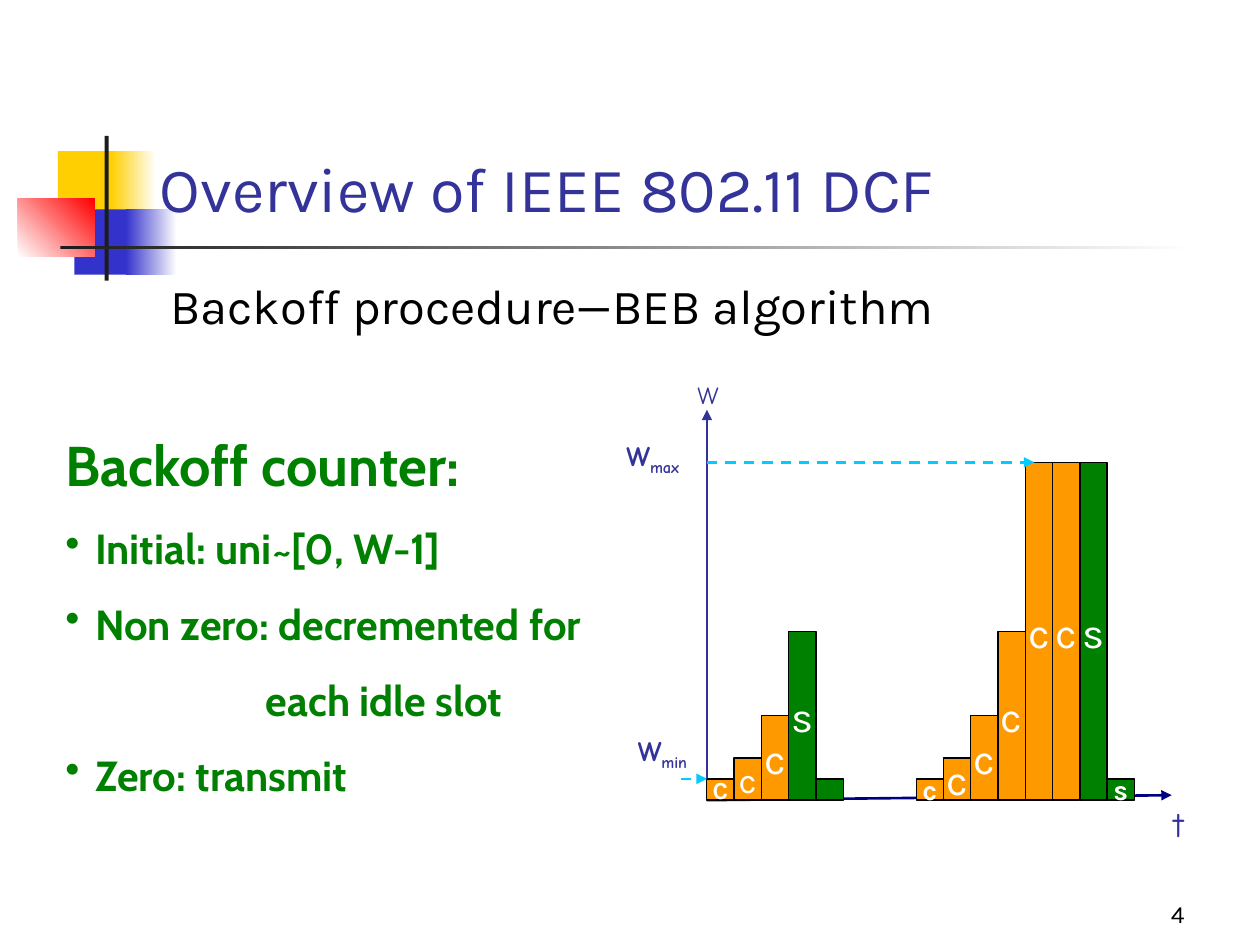
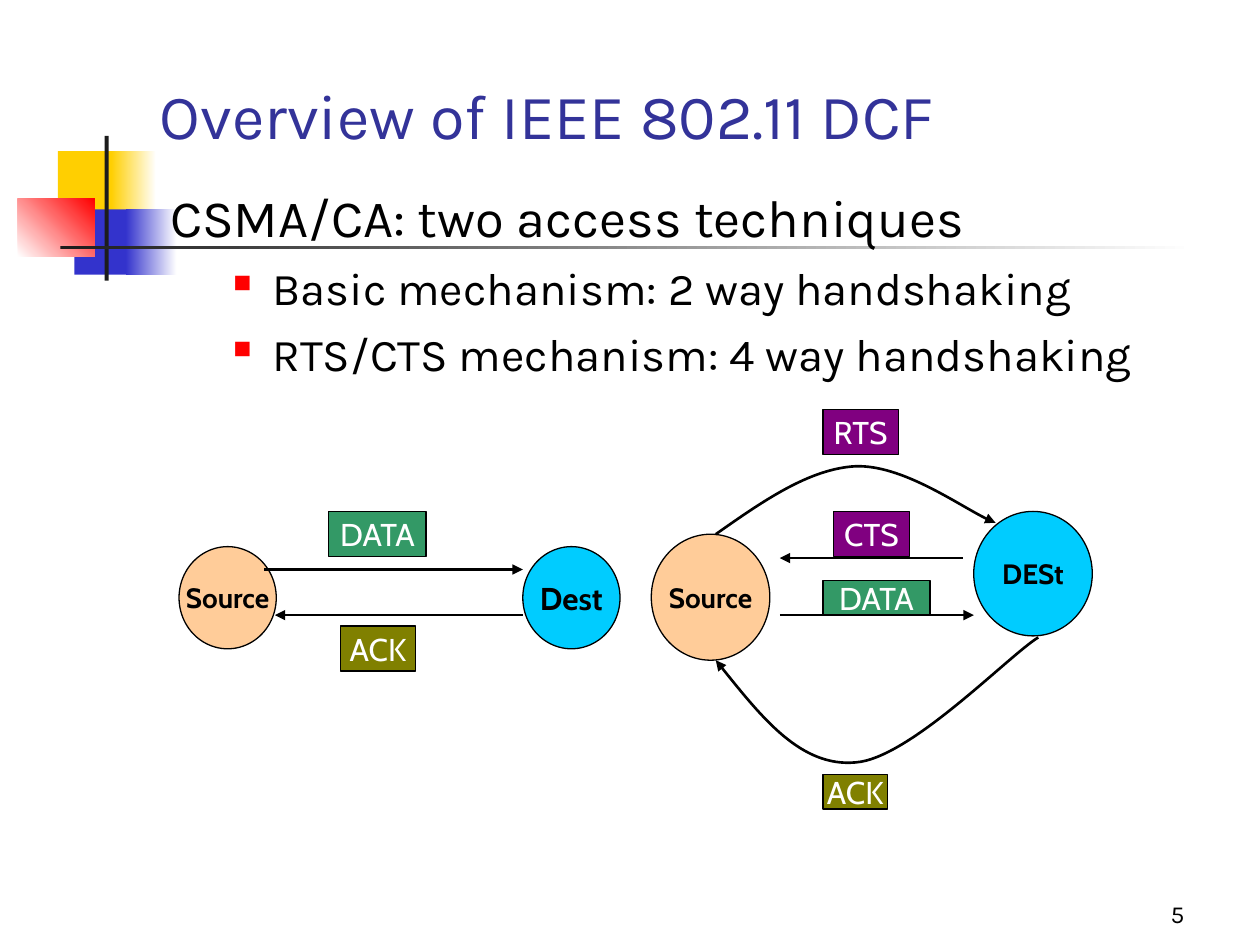
"""Build two slides on IEEE 802.11 DCF backoff and access techniques."""
from dataclasses import dataclass

from lxml import etree
from pptx import Presentation
from pptx.dml.color import RGBColor
from pptx.enum.dml import MSO_LINE
from pptx.enum.shapes import MSO_CONNECTOR, MSO_SHAPE
from pptx.enum.text import MSO_ANCHOR, MSO_AUTO_SIZE, PP_ALIGN
from pptx.oxml.ns import qn
from pptx.util import Cm, Pt

RECT, OVAL = MSO_SHAPE.RECTANGLE, MSO_SHAPE.OVAL
LINE, DASH = MSO_CONNECTOR.STRAIGHT, MSO_LINE.DASH
LEFT, MID, RIGHT = PP_ALIGN.LEFT, PP_ALIGN.CENTER, PP_ALIGN.RIGHT
TOP, CENTER, BOTTOM = MSO_ANCHOR.TOP, MSO_ANCHOR.MIDDLE, MSO_ANCHOR.BOTTOM
FIXED = MSO_AUTO_SIZE.NONE


@dataclass(frozen=True)
class Theme:
    black: str = "000000"
    white: str = "FFFFFF"
    dark: str = "1C1C1C"
    yellow: str = "FFCF01"
    blue: str = "3333CC"
    red: str = "FF0000"
    indigo: str = "333399"
    navy: str = "000080"
    green: str = "008000"
    orange: str = "FF9900"
    cyan: str = "00CCFF"
    peach: str = "FFCC99"
    jade: str = "339966"
    olive: str = "808000"
    purple: str = "800080"
    plain: str = "Karla"
    strong: str = "Cabin"
    hand: str = "Comic Neue"
    title: int = 36
    head: int = 32
    lead: int = 30
    sub: int = 28
    item: int = 26
    body: int = 24
    mark: int = 20
    label: int = 18
    small: int = 16
    tiny: int = 14
    thin: float = 0.75
    thick: float = 1.5


def cm(*sizes):
    return [Cm(size) for size in sizes]


def rgb(color):
    return RGBColor.from_string(color)


def add(parent, tag, **attrs):
    return etree.SubElement(parent, qn(tag), attrs)


def write(frame, text, font=Theme.plain, size=Theme.body, color=Theme.black,
          bold=False, align=LEFT, space=None, before=None, indent=0, hang=0,
          bullet=None, scale=100, tint=None, low=""):
    para = frame.paragraphs[0]
    if para.runs:
        para = frame.add_paragraph()
    props = para._p.get_or_add_pPr()
    if indent:
        props.set("marL", str(Cm(indent)))
        props.set("indent", str(-Cm(hang)))
    if bullet:
        add(add(props, "a:buClr"), "a:srgbClr", val=tint or color)
        add(props, "a:buSzPct", val=str(scale * 1000))
        add(props, "a:buChar", char=bullet)
    para.alignment = align
    if space:
        para.line_spacing = space
    if before:
        para.space_before = Pt(before)
    for part in filter(None, (text, low)):
        run = para.add_run()
        run.text = part
        run.font.name, run.font.size, run.font.bold = font, Pt(size), bold
        run.font.color.rgb = rgb(color)
    if low:
        run._r.get_or_add_rPr().set("baseline", "-25000")


class Deck:
    def __init__(self, theme):
        self.theme = theme
        self.file = Presentation()
        self.file.slide_width, self.file.slide_height = cm(25.4, 19.05)
        self.slide = None

    def start(self, title, top, number):
        look = self.theme
        self.slide = self.file.slides.add_slide(self.file.slide_layouts[5])
        self.band()
        head = self.slide.shapes.title
        self.slide.shapes._spTree.append(head._element)
        head.left, head.top, head.width, head.height = cm(2.97, top, 21.64, 2.13)
        frame = self.setup(head.text_frame, BOTTOM, True)
        write(frame, title, size=look.title, color=look.indigo)
        write(self.text(18.85, 17.58, 5.28, 1.27, BOTTOM), number,
              size=look.tiny, align=RIGHT)

    def band(self):
        look = self.theme
        self.shape(1.17, 3.05, 1.22, 1.32, look.yellow)
        self.fade(2.24, 3.05, 0.91, 1.32, look.yellow, look.white)
        self.shape(1.5, 4.22, 1.17, 1.32, look.blue)
        self.fade(2.54, 4.22, 1.02, 1.32, look.blue, look.white)
        self.fade(0.36, 4.01, 1.55, 1.17, look.white, look.red, 45)
        self.shape(2.11, 2.74, 0.08, 2.92, look.dark)
        self.fade(1.22, 4.95, 22.86, 0.08, look.dark, look.white)

    def setup(self, frame, anchor, wrap):
        frame.auto_size = FIXED
        frame.word_wrap = wrap
        frame.vertical_anchor = anchor
        return frame

    def text(self, x, y, w, h, anchor=TOP, wrap=True):
        box = self.slide.shapes.add_textbox(*cm(x, y, w, h))
        return self.setup(box.text_frame, anchor, wrap)

    def shape(self, x, y, w, h, fill, kind=RECT):
        item = self.slide.shapes.add_shape(kind, *cm(x, y, w, h))
        item.shadow.inherit = False
        item.fill.solid()
        item.fill.fore_color.rgb = rgb(fill)
        item.line.fill.background()
        return item

    def fade(self, x, y, w, h, first, last, angle=0):
        fill = self.shape(x, y, w, h, first).fill
        fill.gradient()
        fill.gradient_angle = angle
        for stop, color in zip(fill.gradient_stops, (first, last)):
            stop.color.rgb = rgb(color)

    def label(self, x, y, w, h, text, fill, kind=RECT, **form):
        item = self.shape(x, y, w, h, fill, kind)
        item.line.color.rgb = rgb(self.theme.black)
        item.line.width = Pt(self.theme.thin)
        frame = self.setup(item.text_frame, CENTER, False)
        if text:
            write(frame, text, align=MID, **form)

    def tag(self, x, y, w, h, text, fill):
        look = self.theme
        self.label(x, y, w, h, text, fill, font=look.strong,
                   size=look.label, color=look.white)

    def node(self, x, y, w, h, text, fill, size=Theme.small):
        self.label(x, y, w, h, text, fill, OVAL, font=self.theme.strong,
                   size=size, bold=True)

    def note(self, x, y, w, h, text, size, **form):
        look = self.theme
        write(self.text(x, y, w, h, CENTER, False), text, font=look.hand,
              size=size, color=look.indigo, align=MID, **form)

    def stroke(self, item, color, end, dash=None):
        item.line.color.rgb = rgb(color)
        item.line.width = Pt(self.theme.thick)
        if dash:
            item.line.dash_style = dash
        add(item.line._get_or_add_ln(), end, type="triangle")

    def arrow(self, x1, y1, x2, y2, color=Theme.black, dash=None):
        item = self.slide.shapes.add_connector(LINE, *cm(x1, y1, x2, y2))
        self.stroke(item, color, "a:tailEnd", dash)
        add(item._element.spPr, "a:effectLst")

    def curve(self, points, end):
        first, *rest = [cm(*point) for point in points]
        pen = self.slide.shapes.build_freeform(*first)
        pen.add_line_segments(rest, close=False)
        item = pen.convert_to_shape()
        item.shadow.inherit = False
        item.fill.background()
        trace = item._element.spPr.find(".//" + qn("a:path"))
        legs = trace.findall(qn("a:lnTo"))
        for i in range(0, len(legs), 3):
            bend = add(trace, "a:cubicBezTo")
            for leg in legs[i:i + 3]:
                bend.append(leg[0])
                trace.remove(leg)
        self.stroke(item, self.theme.black, end)

    def bars(self, left, base, steps):
        look, width, tall = self.theme, 0.55, 6.8
        for i, (level, text, size) in enumerate(steps):
            high = tall / 2 ** (4 - level)
            fill = look.orange if text.lower() == "c" else look.green
            self.label(left + i * width, base - high, width, high, text, fill,
                       size=size, color=look.white, bold=size < look.mark)


def backoff(deck):
    look = deck.theme
    deck.start("Overview of IEEE 802.11 DCF", 2.54, "4")
    write(deck.text(3.18, 5.43, 21.59, 1.7), "Backoff procedure—BEB algorithm",
          size=look.sub)
    frame = deck.text(1.07, 7.62, 11.2, 8.89, CENTER)
    form = dict(font=look.strong, color=look.green, bold=True, space=1.5)
    point = dict(form, indent=0.6, hang=0.6, bullet="•")
    write(frame, "Backoff counter:", size=look.head, **form)
    write(frame, "Initial: uni~[0, W-1]", **point)
    write(frame, "Non zero: decremented for", **point)
    write(frame, "each idle slot", indent=4.04, **form)
    write(frame, "Zero: transmit", **point)

    left, base = 14.25, 16.13
    deck.arrow(left, base, left, 8.26, look.indigo)
    deck.arrow(left, base, 23.62, 16.03, look.navy)
    big = look.body
    deck.bars(left, base, [
        (0, "C", look.tiny), (1, "c", look.mark), (2, "c", big),
        (3, "s", big), (0, "", look.small)])
    deck.bars(18.47, base, [
        (0, "c", look.small),
        *[(level, "c", big) for level in (1, 2, 3, 4, 4)],
        (4, "s", big), (0, "s", look.small)])
    deck.note(12.62, 14.63, 1.47, 1.07, "W", look.small, bold=True, low="min")
    deck.arrow(13.72, 15.7, left, 15.7, look.cyan, DASH)
    deck.arrow(left, 9.32, 20.85, 9.32, look.cyan, DASH)
    deck.note(12.07, 8.69, 2.18, 1.07, "W", look.small, bold=True, low="max")
    deck.note(13.54, 7.42, 1.47, 1.07, "W", look.tiny)
    deck.note(23.39, 16.28, 0.74, 0.64, "t", look.mark)


def access(deck):
    look = deck.theme
    deck.start("Overview of IEEE 802.11 DCF", 1.07, "5")
    frame = deck.text(3.18, 3.61, 21.59, 13.77)
    write(frame, "CSMA/CA: two access techniques", size=look.lead)
    for text in ("Basic mechanism: 2 way handshaking",
                 "RTS/CTS mechanism: 4 way handshaking"):
        write(frame, text, size=look.item, before=6.5, indent=2.06, hang=0.79,
              bullet="■", scale=55, tint=look.red)

    deck.node(3.61, 11.02, 1.96, 2.06, "Source", look.peach)
    deck.node(10.54, 11.02, 1.96, 2.06, "Dest", look.cyan, look.label)
    deck.arrow(5.33, 11.48, 10.54, 11.48)
    deck.arrow(10.54, 12.4, 5.54, 12.4)
    deck.tag(6.63, 10.31, 1.96, 0.91, "DATA", look.jade)
    deck.tag(6.86, 12.62, 1.52, 0.91, "ACK", look.olive)

    deck.node(13.13, 10.77, 2.39, 2.54, "Source", look.peach)
    deck.node(19.63, 10.31, 2.39, 2.51, "DESt", look.cyan)
    deck.arrow(19.41, 11.25, 15.72, 11.25)
    deck.arrow(15.72, 12.4, 19.63, 12.4)
    deck.curve([(14.43, 10.77), (15.37, 10.11), (16.31, 9.45), (17.25, 9.4),
                (18.19, 9.37), (19.58, 10.36), (20.07, 10.54)], "a:tailEnd")
    deck.curve([(14.43, 13.31), (15.29, 14.38), (16.15, 15.47), (17.25, 15.37),
                (18.34, 15.29), (20.32, 13.23), (20.93, 12.85)], "a:headEnd")
    deck.tag(16.59, 8.26, 1.52, 0.91, "RTS", look.purple)
    deck.tag(16.81, 10.31, 1.52, 0.91, "CTS", look.purple)
    deck.tag(16.59, 11.71, 2.16, 0.69, "DATA", look.jade)
    deck.tag(16.59, 15.62, 1.3, 0.69, "ACK", look.olive)


def main():
    deck = Deck(Theme())
    backoff(deck)
    access(deck)
    deck.file.save("out.pptx")


if __name__ == "__main__":
    main()
